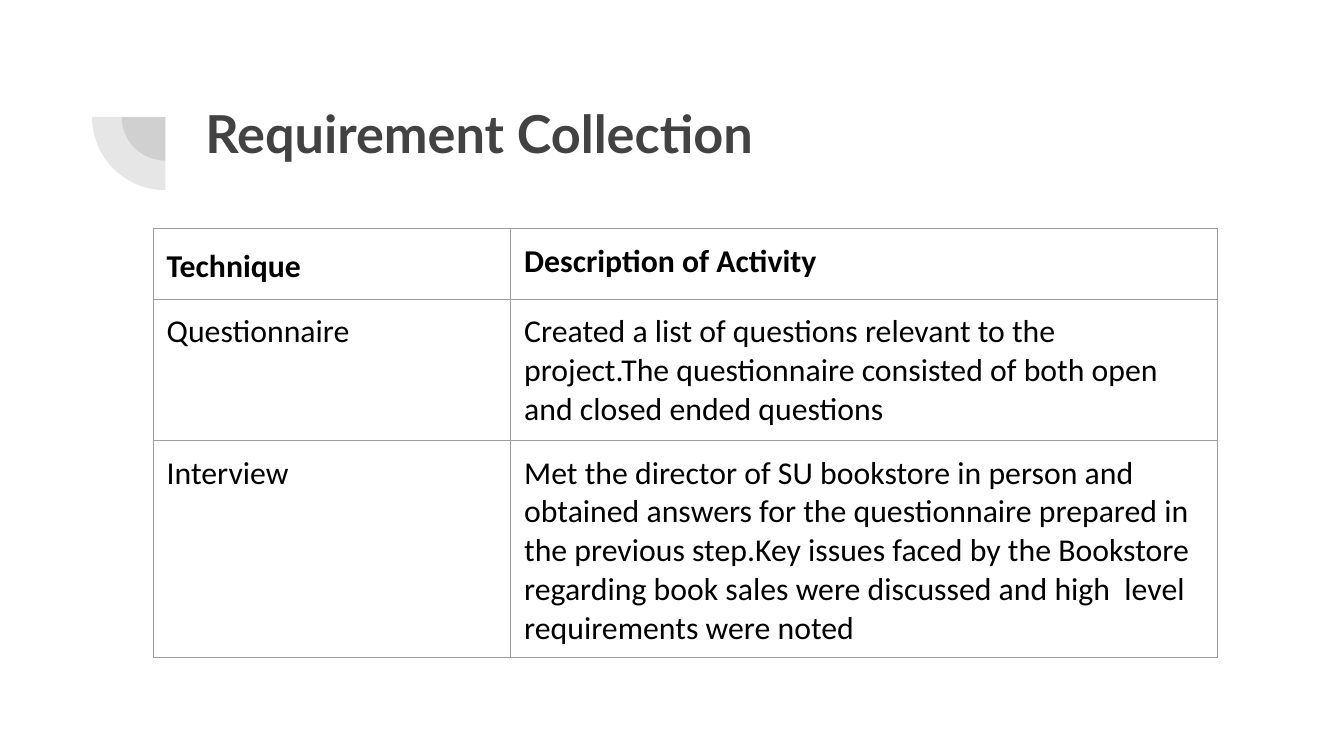
from lxml.etree import SubElement
from pptx import Presentation
from pptx.dml.color import RGBColor
from pptx.enum.shapes import MSO_SHAPE
from pptx.oxml.ns import qn
from pptx.util import Inches, Pt

# Content
TITLE = "Requirement Collection"
ROWS = [
    ("Technique", "Description of Activity"),
    ("Questionnaire",
     "Created a list of questions relevant to the\n"
     "project.The questionnaire consisted of both open and closed ended questions"),
    ("Interview",
     "Met the director of SU bookstore in person and\n"
     "obtained answers for the questionnaire prepared in the previous step."
     "Key issues faced by the Bookstore regarding book sales were discussed "
     "and high  level requirements were noted"),
]

# Look and layout, in inches
COLORS = {"title": "424242", "text": "000000", "border": "9E9E9E"}
SLIDE_W = 10
SLIDE_H = SLIDE_W * 9 / 16
COLUMN_WIDTHS = (2.66, 5.26)
ROW_HEIGHT = 0.42  # least height: rows grow with their text
TABLE_LEFT, TABLE_TOP = 1.14, 1.7
PIE_CENTER = (1.23, 0.87)
PIE_DIAMETERS = (0.65, 1.09)
INSET = 0.1


def write(frame, text, font, size, color, bold=False, spacing=1.0):
    frame.word_wrap = True
    paragraph = frame.paragraphs[0]
    paragraph.text = text.replace("\n", "\v")
    paragraph.line_spacing = spacing
    for run in paragraph.runs:
        run.font.name = font
        run.font.size = Pt(size)
        run.font.bold = bold
        run.font.color.rgb = RGBColor.from_string(COLORS[color])
    for line_break in paragraph._p.findall(qn("a:br")):
        SubElement(line_break, qn("a:rPr"), sz=str(size * 100))


def set_insets(box):
    box.margin_left = box.margin_right = Inches(INSET)
    box.margin_top = box.margin_bottom = Inches(INSET)


def add_borders(cell):
    properties = cell._tc.get_or_add_tcPr()
    for position, side in enumerate(("lnL", "lnR", "lnT", "lnB")):
        line = SubElement(properties, qn(f"a:{side}"), w=str(Pt(0.75)))
        fill = SubElement(line, qn("a:solidFill"))
        SubElement(fill, qn("a:srgbClr"), val=COLORS["border"])
        properties.insert(position, line)


prs = Presentation()
prs.slide_width, prs.slide_height = Inches(SLIDE_W), Inches(SLIDE_H)
slide = prs.slides.add_slide(prs.slide_layouts[6])

# Quarter-circle ornament
for diameter in PIE_DIAMETERS:
    left, top = (Inches(center - diameter / 2) for center in PIE_CENTER)
    pie = slide.shapes.add_shape(MSO_SHAPE.PIE, left, top, Inches(diameter), Inches(diameter))
    pie.adjustments[0], pie.adjustments[1] = 108, 162
    pie.rotation = 270
    pie.shadow.inherit = False
    pie.line.fill.background()
    pie.fill.solid()
    pie.fill.fore_color.rgb = RGBColor.from_string(COLORS["title"])
    tint = pie.fill._xPr.find(qn("a:solidFill"))[0]
    SubElement(tint, qn("a:alpha"), val="13000")

# Title
title = slide.shapes.add_textbox(Inches(1.43), Inches(0.65), Inches(7.69), Inches(1.09))
set_insets(title.text_frame)
write(title.text_frame, TITLE, font="Lato", size=28, color="title", bold=True)

# Technique table
table = slide.shapes.add_table(
    len(ROWS), len(COLUMN_WIDTHS), Inches(TABLE_LEFT), Inches(TABLE_TOP),
    Inches(sum(COLUMN_WIDTHS)), Inches(ROW_HEIGHT * len(ROWS))).table
table.first_row = table.horz_banding = False
for column, width in zip(table.columns, COLUMN_WIDTHS):
    column.width = Inches(width)
for r, row_texts in enumerate(ROWS):
    table.rows[r].height = Inches(ROW_HEIGHT)
    for c, text in enumerate(row_texts):
        cell = table.cell(r, c)
        set_insets(cell)
        cell.fill.background()
        add_borders(cell)
        write(cell.text_frame, text, font="Calibri", size=17, color="text",
              bold=r == 0, spacing=1.15 if r == c == 0 else 1.0)

prs.save("out.pptx")
